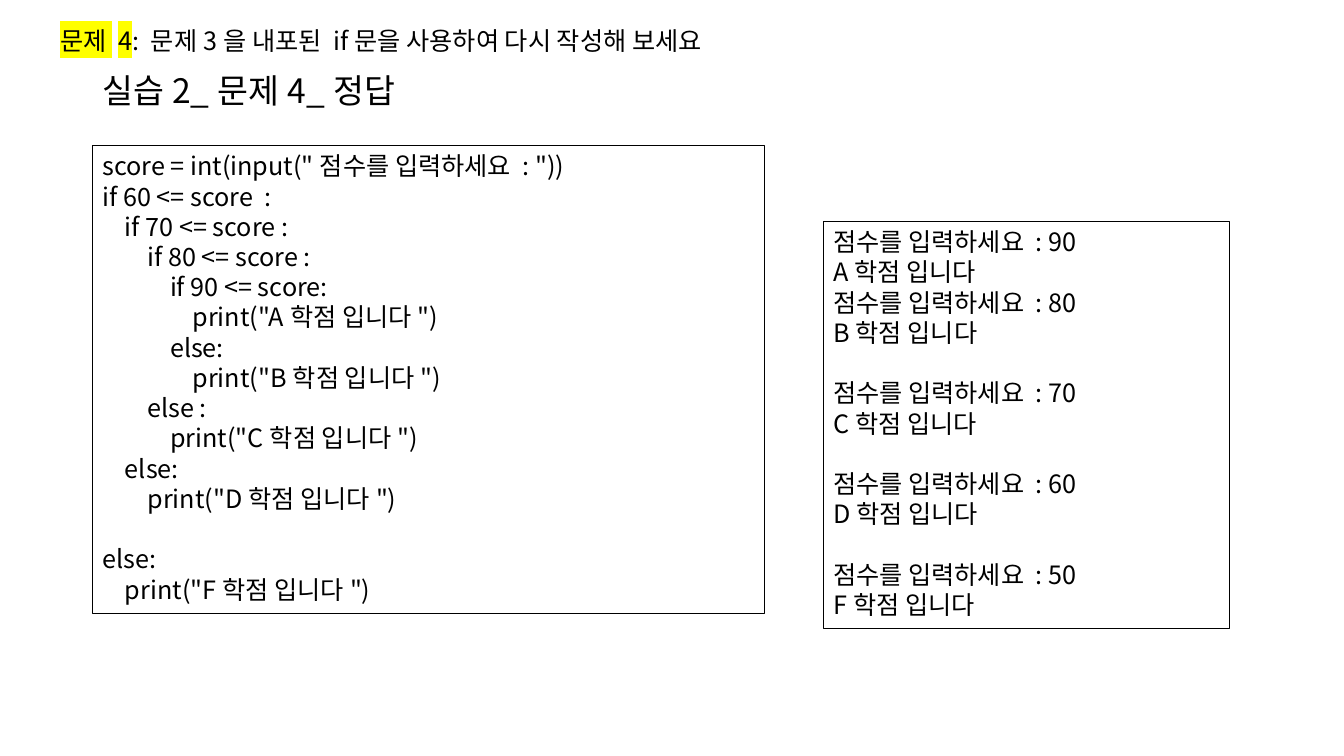
from lxml.etree import SubElement
from pptx import Presentation
from pptx.dml.color import RGBColor
from pptx.enum.text import MSO_ANCHOR, MSO_AUTO_SIZE, PP_ALIGN
from pptx.oxml.ns import qn
from pptx.util import Pt

BLACK = RGBColor(0x00, 0x00, 0x00)
YELLOW = RGBColor(0xFF, 0xFF, 0x00)

CODE = '''score = int(input("점수를 입력하세요 : "))
if 60 <= score  :
    if 70 <= score :
        if 80 <= score :
            if 90 <= score:
                print("A학점 입니다")
            else:
                print("B학점 입니다")
        else :
            print("C학점 입니다")
    else:
        print("D학점 입니다")

else:
    print("F학점 입니다")'''

OUTPUT = '''점수를 입력하세요 : 90
A학점 입니다
점수를 입력하세요 : 80
B학점 입니다

점수를 입력하세요 : 70
C학점 입니다

점수를 입력하세요 : 60
D학점 입니다

점수를 입력하세요 : 50
F학점 입니다'''


class SlideBuilder:
    font_name = "Noto Sans CJK KR"
    text_size = 18
    title_size = 24
    line_height = 21.6

    def __init__(self, page):
        self.page = page

    def style(self, para, size):
        font = para.font
        font.size = Pt(size)
        font.name = self.font_name
        font.color.rgb = BLACK
        defaults = para._p.pPr.find(qn("a:defRPr"))
        SubElement(defaults, qn("a:ea"), typeface=self.font_name)

    def title(self, text, left, top, width, height):
        box = self.page.shapes.title
        box.left, box.top, box.width, box.height = map(Pt, (left, top, width, height))
        frame = box.text_frame
        frame.text = text
        frame.auto_size = MSO_AUTO_SIZE.NONE
        frame.vertical_anchor = MSO_ANCHOR.MIDDLE
        para = frame.paragraphs[0]
        para.alignment = PP_ALIGN.LEFT
        para.line_spacing = 0.9
        self.style(para, self.title_size)

    def text_box(self, left, top, width, height):
        box = self.page.shapes.add_textbox(*map(Pt, (left, top, width, height)))
        box.text_frame.word_wrap = True
        box.text_frame.auto_size = MSO_AUTO_SIZE.SHAPE_TO_FIT_TEXT
        return box

    def listing(self, text, left, top, width, height):
        """Add a framed listing; an empty line becomes space before the next one."""
        box = self.text_box(left, top, width, height)
        box.line.color.rgb = BLACK
        box.line.width = Pt(0.75)
        para = box.text_frame.paragraphs[0]
        gap = 0
        for number, line in enumerate(text.splitlines()):
            if not line:
                gap = self.line_height
                continue
            if number:
                para = box.text_frame.add_paragraph()
            para.add_run().text = line
            if gap:
                para.space_before = Pt(gap)
                gap = 0
            self.style(para, self.text_size)

    def question(self, label, text, left, top, width, height):
        """Add one line of text that opens with a highlighted label."""
        para = self.text_box(left, top, width, height).text_frame.paragraphs[0]
        span = para.add_run()
        span.text = label
        highlight = SubElement(span.font._element, qn("a:highlight"))
        SubElement(highlight, qn("a:srgbClr"), val=str(YELLOW))
        para.add_run().text = text
        self.style(para, self.text_size)


def main():
    deck = Presentation()
    deck.slide_width, deck.slide_height = Pt(960), Pt(540)
    builder = SlideBuilder(deck.slides.add_slide(deck.slide_layouts[5]))
    builder.title("실습2_문제4_정답", 66, 28.75, 828, 75.5)
    builder.listing(CODE, 66, 104, 480, 334)
    builder.listing(OUTPUT, 588, 158.25, 290, 291)
    builder.question("문제 4", ": 문제3을 내포된 if문을 사용하여 다시 작성해 보세요",
                     36, 14.5, 736.5, 29)
    deck.save("out.pptx")


if __name__ == "__main__":
    main()
